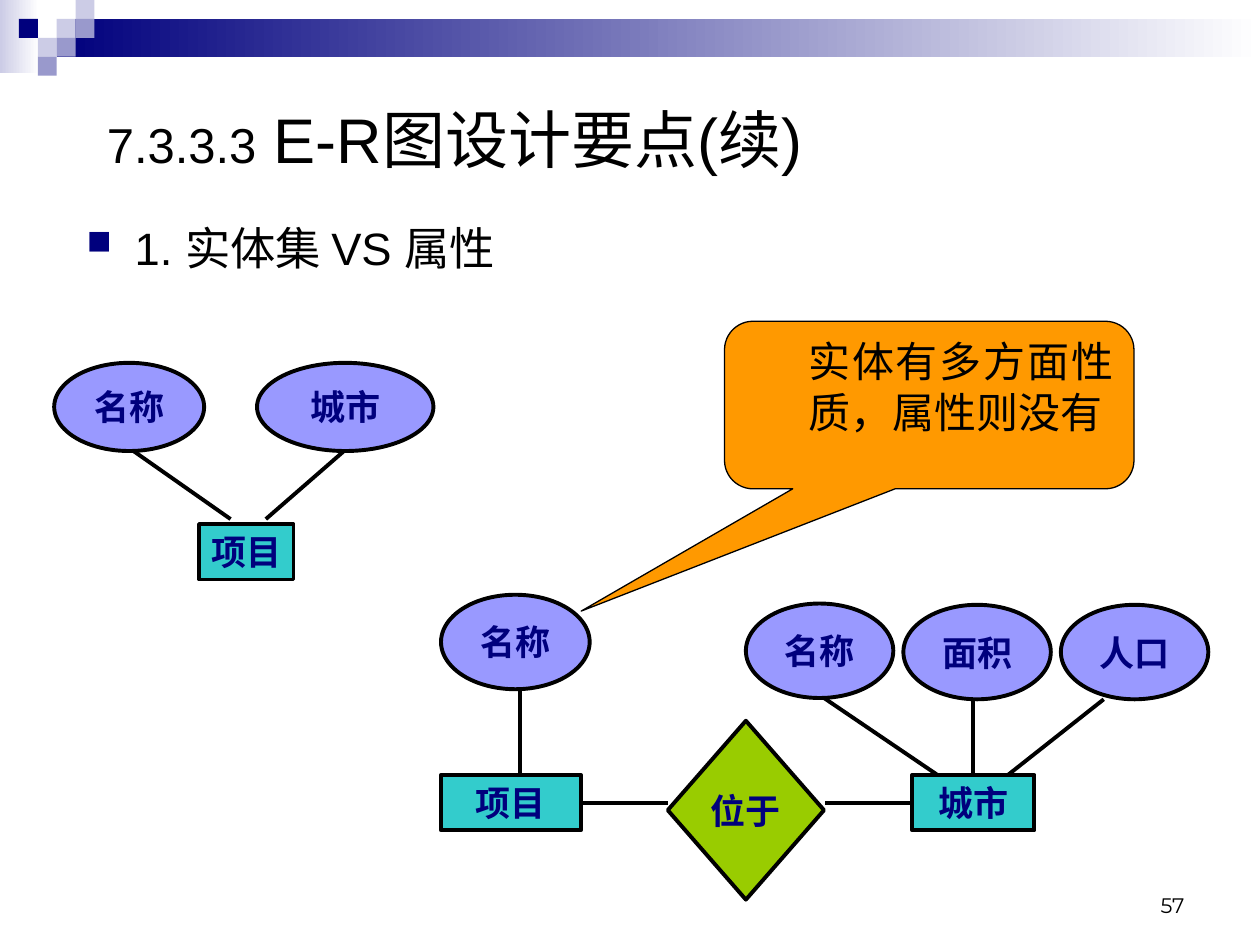
from lxml.etree import SubElement
from pptx import Presentation
from pptx.dml.color import RGBColor
from pptx.enum.shapes import MSO_CONNECTOR, MSO_SHAPE
from pptx.enum.text import MSO_ANCHOR, PP_ALIGN
from pptx.oxml.ns import qn
from pptx.util import Pt

PX = 9144  # 100 px to the inch
COLORS = {
    "navy": "00007D", "mist": "CCCCE6", "slate": "9999CC", "white": "FFFFFF",
    "black": "000000", "entity": "33CCCC", "attribute": "9999FF",
    "relation": "99CC00", "callout": "FF9900",
}
LEFT, RIGHT = 1, 3  # connection sites of a rectangle


def color(name):
    return RGBColor.from_string(COLORS[name])


def emu(*lengths):
    return [length * PX for length in lengths]


def write_text(shape, runs, font="Arial", fill="black", bold=False,
               align=PP_ALIGN.LEFT, anchor=MSO_ANCHOR.MIDDLE, wrap=True,
               line_spacing=None, indent=0, hanging=0, bullet=None):
    """Fill the shape with one paragraph of (text, size) runs."""
    frame = shape.text_frame
    frame.word_wrap = wrap
    frame.vertical_anchor = anchor
    paragraph = frame.paragraphs[0]
    paragraph.alignment = align
    if line_spacing:
        paragraph.line_spacing = line_spacing
    properties = paragraph._p.get_or_add_pPr()
    properties.set("marL", str(indent * PX))
    properties.set("indent", str(-hanging * PX))
    if bullet:
        bullet_color = SubElement(properties, qn("a:buClr"))
        SubElement(bullet_color, qn("a:srgbClr"), val=COLORS["navy"])
        SubElement(properties, qn("a:buSzPct"), val="75000")
        SubElement(properties, qn("a:buChar"), char=bullet)
    for text, size in runs:
        run = paragraph.add_run()
        run.text = text
        run.font.name = font
        run.font.size = Pt(size)
        run.font.bold = bold
        run.font.color.rgb = color(fill)


def add_text_box(slide, box, runs, **text_format):
    write_text(slide.shapes.add_textbox(*emu(*box)), runs, **text_format)


def add_block(slide, kind, box, fill, line_width=0):
    """Add a preset shape; a pair of fills makes a left-to-right gradient."""
    shape = slide.shapes.add_shape(kind, *emu(*box))
    shape.shadow.inherit = False
    if isinstance(fill, tuple):
        shape.fill.gradient()
        shape.fill.gradient_angle = 0
        for stop, name in zip(shape.fill.gradient_stops, fill):
            stop.color.rgb = color(name)
    else:
        shape.fill.solid()
        shape.fill.fore_color.rgb = color(fill)
    if line_width:
        shape.line.color.rgb = color("black")
        shape.line.width = Pt(line_width)
    else:
        shape.line.fill.background()
    return shape


def add_node(slide, kind, box, fill, label):
    shape = add_block(slide, kind, box, fill, line_width=2.25)
    write_text(shape, [(label, 20)], font="Times New Roman", fill="navy",
               bold=True, align=PP_ALIGN.CENTER, wrap=False)
    return shape


def add_entity(slide, box, label):
    return add_node(slide, MSO_SHAPE.RECTANGLE, box, "entity", label)


def add_attribute(slide, box, label):
    return add_node(slide, MSO_SHAPE.OVAL, box, "attribute", label)


def add_link(slide, start, end):
    link = slide.shapes.add_connector(MSO_CONNECTOR.STRAIGHT, *emu(*start, *end))
    link.line.color.rgb = color("black")
    link.line.width = Pt(2.25)
    SubElement(link._element.spPr, qn("a:effectLst"))
    return link


def add_banner(slide, left, top, width):
    rectangle = MSO_SHAPE.RECTANGLE
    add_block(slide, rectangle, (left, top, 31, 58), ("mist", "white"))
    add_block(slide, rectangle, (left + 45, top + 15, width - 45, 30), ("navy", "white"))
    # Mosaic of 15 px squares
    side = 15
    squares = [(3, 1, "mist"), (4, 0, "mist"), (4, 1, "slate"), (2, 2, "mist"),
               (1, 1, "navy"), (3, 2, "slate"), (2, 3, "slate")]
    for column, row, fill in squares:
        box = (left + column * side, top + row * side, side, side)
        add_block(slide, rectangle, box, fill)


def add_simple_diagram(slide, left, top):
    """Project with the city as an attribute."""
    add_entity(slide, (left + 115, top + 128, 75, 44), "项目")
    add_attribute(slide, (left, top, 119, 70), "名称")
    add_attribute(slide, (left + 161, top, 140, 70), "城市")
    add_link(slide, (left + 230, top + 70), (left + 168, top + 124))
    add_link(slide, (left + 63, top + 70), (left + 140, top + 124))


def add_relation_diagram(slide, left, top):
    """Project and city as two entities joined by a relation."""
    entity_top = top + 143
    middle = entity_top + 22
    project = add_entity(slide, (left, entity_top, 111, 44), "项目")
    city = add_entity(slide, (left + 374, entity_top, 97, 44), "城市")
    project_link = add_link(slide, (left + 111, middle), (left + 180, middle))
    project_link.begin_connect(project, RIGHT)
    city_link = add_link(slide, (left + 305, middle), (left + 374, middle))
    city_link.end_connect(city, LEFT)
    add_node(slide, MSO_SHAPE.DIAMOND, (left + 180, top + 100, 124, 142),
             "relation", "位于")

    # Project attribute
    add_attribute(slide, (left, top, 118, 75), "名称")
    add_link(slide, (left + 63, top + 75), (left + 63, entity_top))

    # City attributes: label, vertical offset, link start and link end
    attributes = [("名称", 7, 304, 394), ("面积", 8, 422, 422), ("人口", 8, 526, 450)]
    for index, (label, drop, start, end) in enumerate(attributes):
        add_attribute(slide, (left + 242 + 125 * index, top + drop, 117, 75), label)
        add_link(slide, (left + start, top + drop + 75), (left + end, entity_top))


def add_callout(slide, box):
    shape = add_block(slide, MSO_SHAPE.ROUNDED_RECTANGULAR_CALLOUT, box,
                      "callout", line_width=0.75)
    for index, value in enumerate((-0.85, 1.23, 0.17)):
        shape.adjustments[index] = value
    write_text(shape, [("实体有多方面性质，属性则没有", 24)], font="Karla",
               align=PP_ALIGN.JUSTIFY, anchor=MSO_ANCHOR.TOP, indent=50)


def main():
    presentation = Presentation()
    presentation.slide_width, presentation.slide_height = emu(1000, 750)
    slide = presentation.slides.add_slide(presentation.slide_layouts[6])

    add_banner(slide, 0, 0, 1000)
    # Page number, title and heading
    add_text_box(slide, (717, 683, 233, 50), [("57", 12)], font="Montserrat",
                 align=PP_ALIGN.RIGHT, anchor=MSO_ANCHOR.BOTTOM)
    add_text_box(slide, (75, 79, 850, 61),
                 [("7.3.3.3", 28), (" E-R图设计要点(续)", 36)])
    add_text_box(slide, (59, 178, 850, 46), [("1. 实体集 VS 属性", 25.9)],
                 anchor=MSO_ANCHOR.TOP, line_spacing=0.8,
                 indent=38, hanging=38, bullet="■")
    # Diagrams and remark
    add_simple_diagram(slide, 43, 288)
    add_relation_diagram(slide, 350, 472)
    add_callout(slide, (575, 255, 325, 133))
    presentation.save("out.pptx")


if __name__ == "__main__":
    main()
